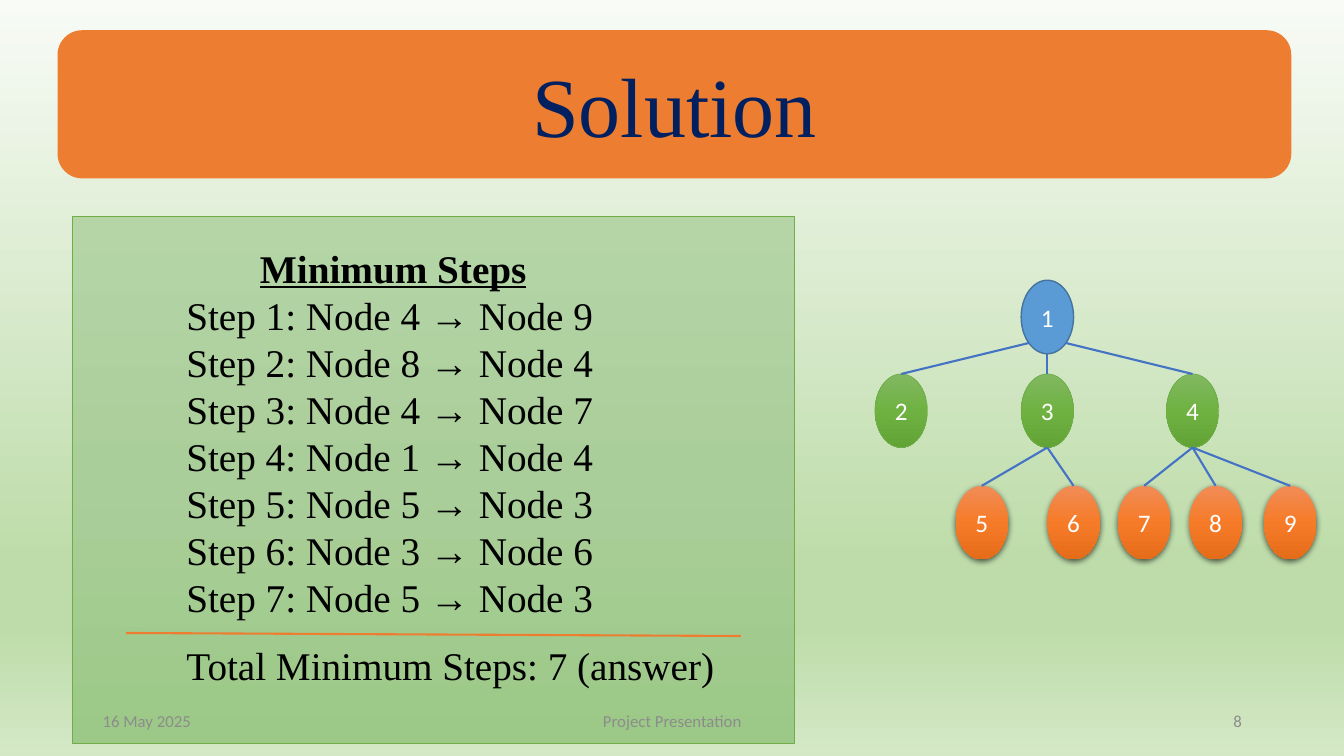
from dataclasses import dataclass
from math import sqrt
from lxml.etree import SubElement
from pptx import Presentation
from pptx.dml.color import RGBColor
from pptx.enum.shapes import MSO_CONNECTOR, MSO_SHAPE
from pptx.enum.text import MSO_ANCHOR, MSO_AUTO_SIZE, PP_ALIGN
from pptx.oxml.ns import qn
from pptx.util import Inches, Pt

HEX = {"navy": "002060", "black": "000000", "white": "FFFFFF", "grey": "8C8C8C",
       "orange": "ED7D31", "green": "70AD47", "blue": "5B9BD5", "edge": "43739E",
       "link": "4472C4"}
FADE = {
    "back": [(0, "F8FBF6"), (74, "BEDCAA"), (83, "BEDCAA"), (100, "D4E8C6")],
    "panel": [(0, "B5D5A7"), (50, "AACE9A"), (100, "9CC987")],
    "green": [(0, "81B861"), (50, "6FB242"), (100, "62A336")],
    "orange": [(0, "F18C57"), (50, "F67B28"), (100, "E56C19")],
}
SERIF, SANS = "Times New Roman", "Calibri"
TITLE = {"name": SERIF, "size": Pt(60)}
BODY = {"name": SERIF, "size": Pt(28)}
HEAD = BODY | {"bold": True, "underline": True}
FOOT = {"name": SANS, "size": Pt(12)}
LABEL = {"name": SANS, "size": Pt(18)}
LEFT, MID, RIGHT = PP_ALIGN.LEFT, PP_ALIGN.CENTER, PP_ALIGN.RIGHT
WIDE, HIGH = Inches(13.333), Inches(7.5)


@dataclass
class Box:
    """Place and size in percent of the slide."""
    left: float
    top: float
    width: float
    height: float

    def frame(self) -> tuple:
        return (*spot(self.left, self.top), *spot(self.width, self.height))


@dataclass
class Node:
    name: int
    mid: float
    tier: int
    root: int = 0


@dataclass
class Note:
    text: str
    box: Box
    align: PP_ALIGN


def spot(x: float, y: float) -> tuple:
    return int(WIDE * x / 100), int(HIGH * y / 100)


def tint(key: str) -> RGBColor:
    return RGBColor.from_string(HEX[key])


def blend(fill, root, key: str) -> None:
    fill.gradient()
    fill.gradient_angle = 270
    stops = next(root.iter(qn("a:gsLst")))
    for old in list(stops):
        stops.remove(old)
    for share, shade in FADE[key]:
        stop = SubElement(stops, qn("a:gs"), pos=str(share * 1000))
        SubElement(stop, qn("a:srgbClr"), val=shade)


def shade(shape) -> None:
    glow = shape.element.spPr.find(qn("a:effectLst"))
    cast = SubElement(glow, qn("a:outerShdw"), blurRad=str(Pt(4.5)), dist=str(Pt(1.5)),
                      dir="5400000", algn="ctr", rotWithShape="0")
    ink = SubElement(cast, qn("a:srgbClr"), val=HEX["black"])
    SubElement(ink, qn("a:alpha"), val="63000")


def form(shapes, kind: MSO_SHAPE, box: Box, solid: str = "", fade: str = "",
         line: str = "", width: float = 0.5):
    shape = shapes.add_shape(kind, *box.frame())
    shape.shadow.inherit = False
    if fade:
        blend(shape.fill, shape.element.spPr, fade)
    else:
        shape.fill.solid()
        shape.fill.fore_color.rgb = tint(solid)
    if line:
        shape.line.color.rgb = tint(line)
        shape.line.width = Pt(width)
    else:
        shape.line.fill.background()
    return shape


def write(para, text: str, style: dict, ink: str, align: PP_ALIGN) -> None:
    para.alignment = align
    run = para.add_run()
    run.text = text
    for key, value in style.items():
        setattr(run.font, key, value)
    run.font.color.rgb = tint(ink)


def label(shape, text: str, style: dict, ink: str) -> None:
    shape.text_frame.vertical_anchor = MSO_ANCHOR.MIDDLE
    write(shape.text_frame.paragraphs[0], text, style, ink, MID)


def field(shapes, box: Box, grow: bool = False):
    frame = shapes.add_textbox(*box.frame()).text_frame
    frame.word_wrap = True
    if grow:
        frame.auto_size = MSO_AUTO_SIZE.SHAPE_TO_FIT_TEXT
    else:
        frame.vertical_anchor = MSO_ANCHOR.MIDDLE
    return frame


def rule(shapes, start: tuple, end: tuple, ink: str) -> None:
    line = shapes.add_connector(MSO_CONNECTOR.STRAIGHT, *spot(*start), *spot(*end))
    line.line.color.rgb = tint(ink)
    line.line.width = Pt(1.5)
    SubElement(line.element.spPr, qn("a:effectLst"))


# Tree: middles and tier tops in percent of the slide
SPAN, TALL = 3.9, 9.73
TOPS = [37.07, 49.47, 64.27]
LOOKS = [{"solid": "blue", "line": "edge", "width": 1},
         {"fade": "green", "line": "green"}, {"fade": "orange"}]
TREE = [Node(1, 77.93, 0), Node(2, 67.05, 1, 1), Node(3, 77.93, 1, 1),
        Node(4, 88.73, 1, 1), Node(5, 73.05, 2, 3), Node(6, 79.88, 2, 3),
        Node(7, 85.13, 2, 4), Node(8, 90.45, 2, 4), Node(9, 96, 2, 4)]


def plant(shapes) -> None:
    for node in TREE:
        box = Box(node.mid - SPAN / 2, TOPS[node.tier], SPAN, TALL)
        shape = form(shapes, MSO_SHAPE.OVAL, box, **LOOKS[node.tier])
        label(shape, str(node.name), LABEL, "white")
        if node.tier == 2:
            shade(shape)
    for node in TREE[1:]:
        root = TREE[node.root - 1]
        x, y = root.mid, TOPS[root.tier] + TALL
        if root.tier == 0 and node.mid != x:  # leave the oval at 45 degrees
            x += SPAN / 2 / sqrt(2) * (1 if node.mid > x else -1)
            y -= TALL / 2 * (1 - 1 / sqrt(2))
        rule(shapes, (x, y), (node.mid, TOPS[node.tier]), "link")


MOVES = [(4, 9), (8, 4), (4, 7), (1, 4), (5, 3), (3, 6), (5, 3)]
NOTES = [Note("16 May 2025", Box(6.9, 92.67, 22.5, 5.33), LEFT),
         Note("Project Presentation", Box(33.15, 92.67, 33.75, 5.33), MID),
         Note("8", Box(70.65, 92.67, 22.5, 5.33), RIGHT)]


def main() -> None:
    deck = Presentation()
    deck.slide_width, deck.slide_height = WIDE, HIGH
    slide = deck.slides.add_slide(deck.slide_layouts[6])
    shapes = slide.shapes
    blend(slide.background.fill, slide.element, "back")

    # Panel and title
    form(shapes, MSO_SHAPE.RECTANGLE, Box(5.4, 28.67, 53.7, 69.73),
         fade="panel", line="green")
    title = form(shapes, MSO_SHAPE.ROUNDED_RECTANGLE, Box(4.28, 4, 91.8, 19.6), "orange")
    label(title, "Solution", TITLE, "navy")

    # Steps and their total
    steps = field(shapes, Box(13.13, 31.6, 32.25, 51.6), grow=True)
    write(steps.paragraphs[0], "Minimum Steps", HEAD, "black", MID)
    for count, (start, end) in enumerate(MOVES, 1):
        text = f"Step {count}: Node {start} → Node {end}"
        write(steps.add_paragraph(), text, BODY, "black", LEFT)
    rule(shapes, (9.38, 83.73), (55.13, 84.13), "orange")
    total = field(shapes, Box(13.13, 84.13, 41.4, 7.6), grow=True)
    write(total.paragraphs[0], f"Total Minimum Steps: {len(MOVES)} (answer)",
          BODY, "black", LEFT)

    # Footer
    for note in NOTES:
        write(field(shapes, note.box).paragraphs[0], note.text, FOOT, "grey", note.align)

    plant(shapes.add_group_shape().shapes)
    deck.save("out.pptx")


if __name__ == "__main__":
    main()
